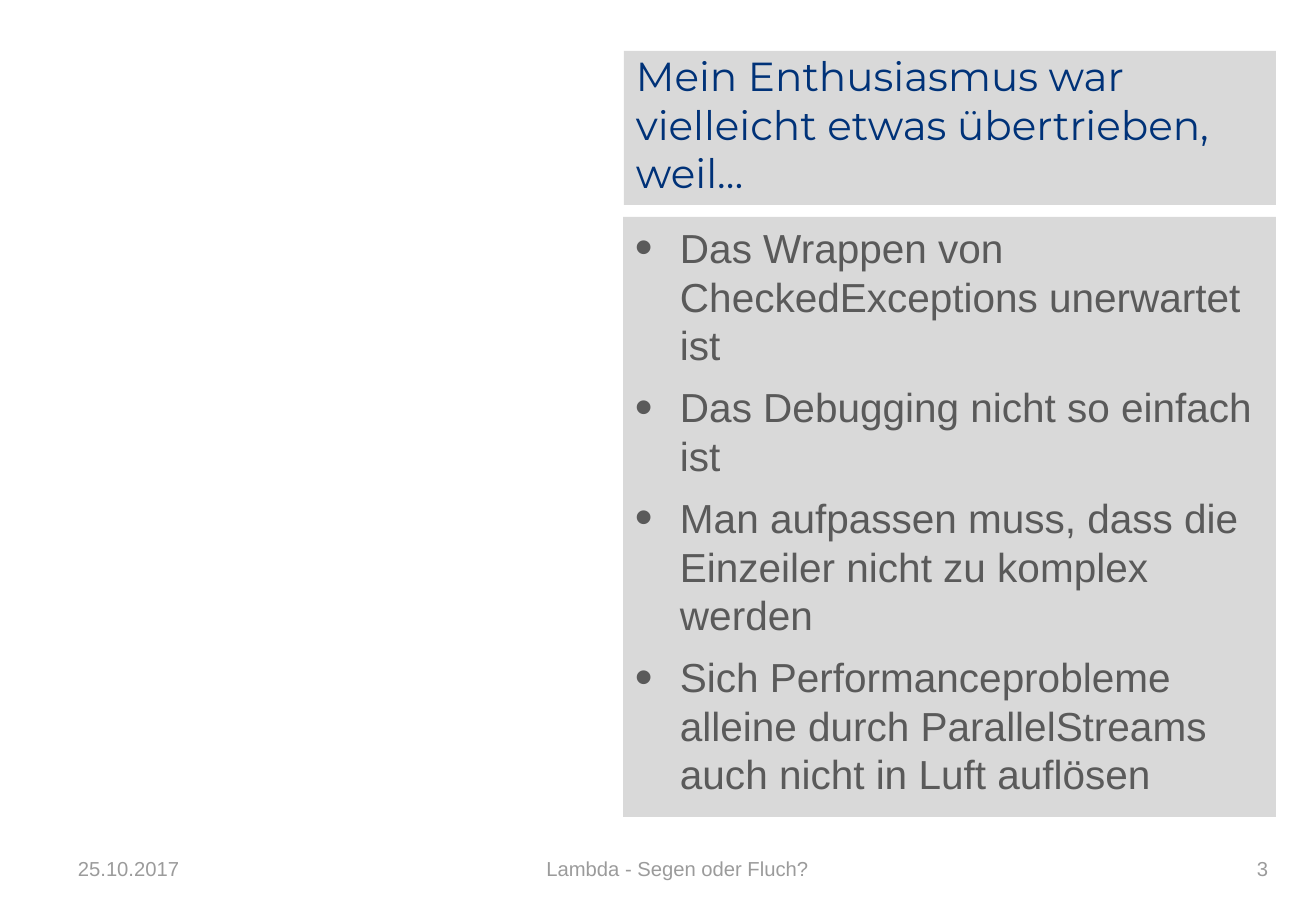
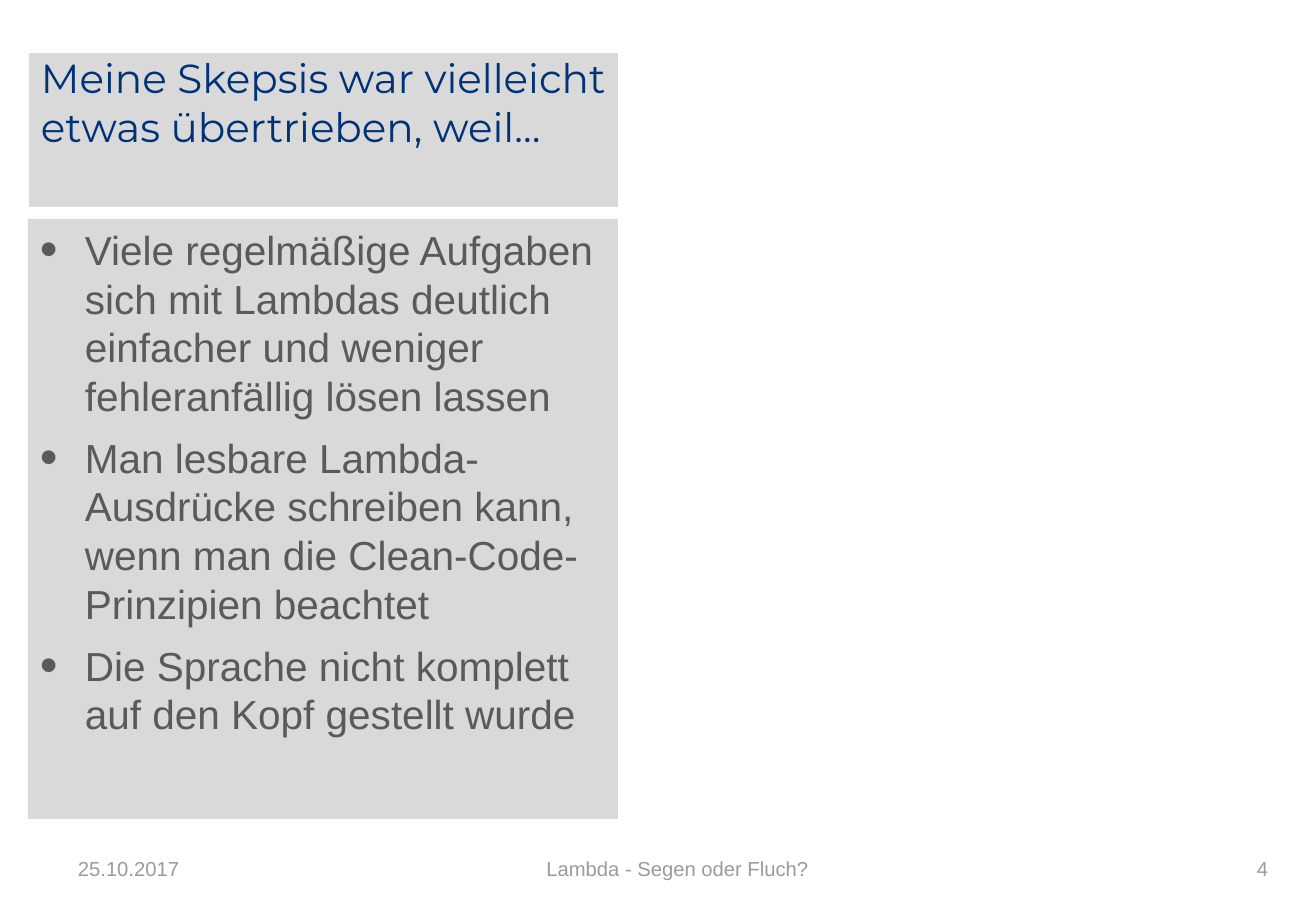
from lxml.etree import SubElement
from pptx import Presentation
from pptx.dml.color import RGBColor
from pptx.enum.shapes import MSO_SHAPE as Shape
from pptx.enum.text import MSO_ANCHOR as Anchor, PP_ALIGN as Align
from pptx.oxml.ns import qn
from pptx.util import Pt

PX = 914400 / 121.5
PANEL = RGBColor(0xD9, 0xD9, 0xD9)
NAVY = RGBColor(0x00, 0x32, 0x78)
TEXT = RGBColor(0x5A, 0x5A, 0x5A)
MUTED = RGBColor(0x9B, 0x9B, 0x9B)
LINE_PITCH = Pt(28.8)
BULLET_INDENT = 45
TITLE_HEIGHT, REASONS_HEIGHT = 154, 600
REASONS_OFFSET = 166
FOOTER_TOP, FOOTER_HEIGHT = 844, 49


def emu(pixels):
    return round(pixels * PX)


def add_run(paragraph, words, size, font, color):
    run = paragraph.add_run()
    run.text = words
    run.font.size = Pt(size)
    run.font.name = font
    run.font.color.rgb = color


def add_panel(slide, left, top, width, height):
    panel = slide.shapes.add_shape(Shape.RECTANGLE, *map(emu, (left, top, width, height)))
    panel.shadow.inherit = False
    panel.fill.solid()
    panel.fill.fore_color.rgb = PANEL
    panel.line.fill.background()
    frame = panel.text_frame
    frame.word_wrap = True
    frame.vertical_anchor = Anchor.TOP
    return frame


def style_paragraph(paragraph):
    paragraph.alignment = Align.LEFT
    paragraph.line_spacing = LINE_PITCH


def add_bullet(paragraph):
    props = paragraph._p.get_or_add_pPr()
    props.set("marL", str(emu(BULLET_INDENT)))
    props.set("indent", str(-emu(BULLET_INDENT)))
    bullet_color = SubElement(props, qn("a:buClr"))
    SubElement(bullet_color, qn("a:srgbClr"), val=str(TEXT))
    SubElement(props, qn("a:buSzPct"), val="125000")
    SubElement(props, qn("a:buFont"), typeface="Arial")
    SubElement(props, qn("a:buChar"), char="•")


def add_title(slide, left, top, width):
    frame = add_panel(slide, left, top, width, TITLE_HEIGHT)
    frame.margin_top = 0
    style_paragraph(frame.paragraphs[0])
    return frame.paragraphs[0]


def add_reasons(slide, left, top, width, reasons):
    frame = add_panel(slide, left, top, width, REASONS_HEIGHT)
    for index, reason in enumerate(reasons):
        paragraph = frame.add_paragraph() if index else frame.paragraphs[0]
        style_paragraph(paragraph)
        paragraph.space_before = Pt(8)
        add_bullet(paragraph)
        add_run(paragraph, reason, 24, "Arial", TEXT)


def add_footer(slide, number):
    for left, width, words, alignment in (
        (973, 307, str(number), Align.RIGHT),
        (66, 307, "25.10.2017", Align.LEFT),
        (469, 417, "Lambda - Segen oder Fluch?", Align.CENTER),
    ):
        box = slide.shapes.add_textbox(*map(emu, (left, FOOTER_TOP, width, FOOTER_HEIGHT)))
        frame = box.text_frame
        frame.word_wrap = True
        frame.vertical_anchor = Anchor.MIDDLE
        frame.paragraphs[0].alignment = alignment
        add_run(frame.paragraphs[0], words, 12, "Arial", MUTED)


def add_reason_slide(deck, number, box, title, reasons):
    left, top, width = box
    slide = deck.slides.add_slide(deck.slide_layouts[6])
    heading = add_title(slide, left + 1, top, width - 1)
    add_run(heading, title, 24, "Montserrat", NAVY)
    add_reasons(slide, left, top + REASONS_OFFSET, width, reasons)
    add_footer(slide, number)


deck = Presentation()
deck.slide_width, deck.slide_height = emu(1316), emu(911)
add_reason_slide(
    deck, 3, (623, 51, 653),
    "Mein Enthusiasmus war vielleicht etwas übertrieben, weil…",
    (
        "Das Wrappen von CheckedExceptions unerwartet ist",
        "Das Debugging nicht so einfach ist",
        "Man aufpassen muss, dass die Einzeiler nicht zu komplex werden",
        "Sich Performanceprobleme alleine durch ParallelStreams auch nicht in Luft auflösen",
    ),
)
add_reason_slide(
    deck, 4, (28, 53, 590),
    "Meine Skepsis war vielleicht etwas übertrieben, weil…",
    (
        "Viele regelmäßige Aufgaben sich mit Lambdas deutlich einfacher und weniger "
        "fehleranfällig lösen lassen",
        "Man lesbare Lambda-Ausdrücke schreiben kann, wenn man die "
        "Clean-Code-Prinzipien beachtet",
        "Die Sprache nicht komplett auf den Kopf gestellt wurde",
    ),
)
deck.save("out.pptx")
